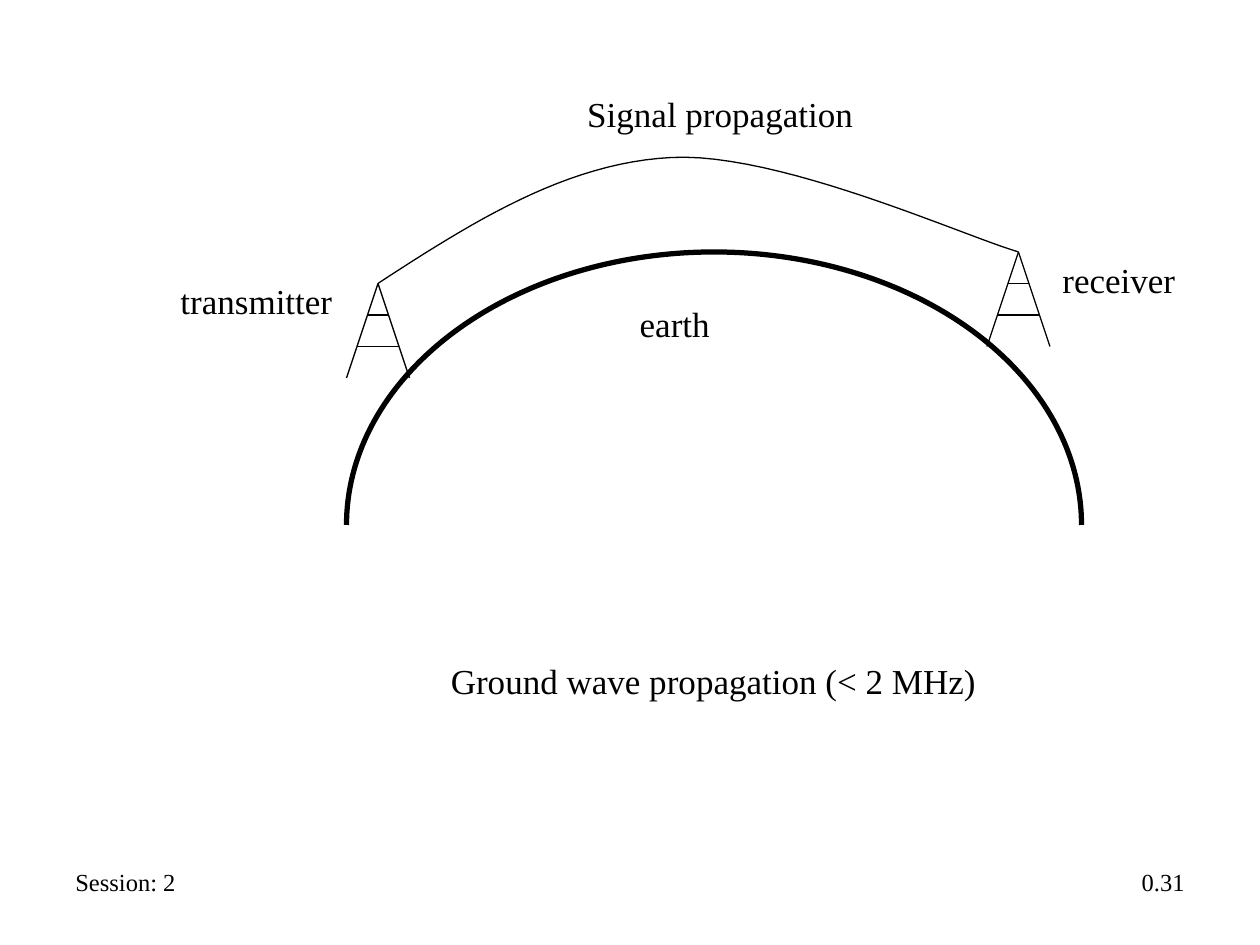
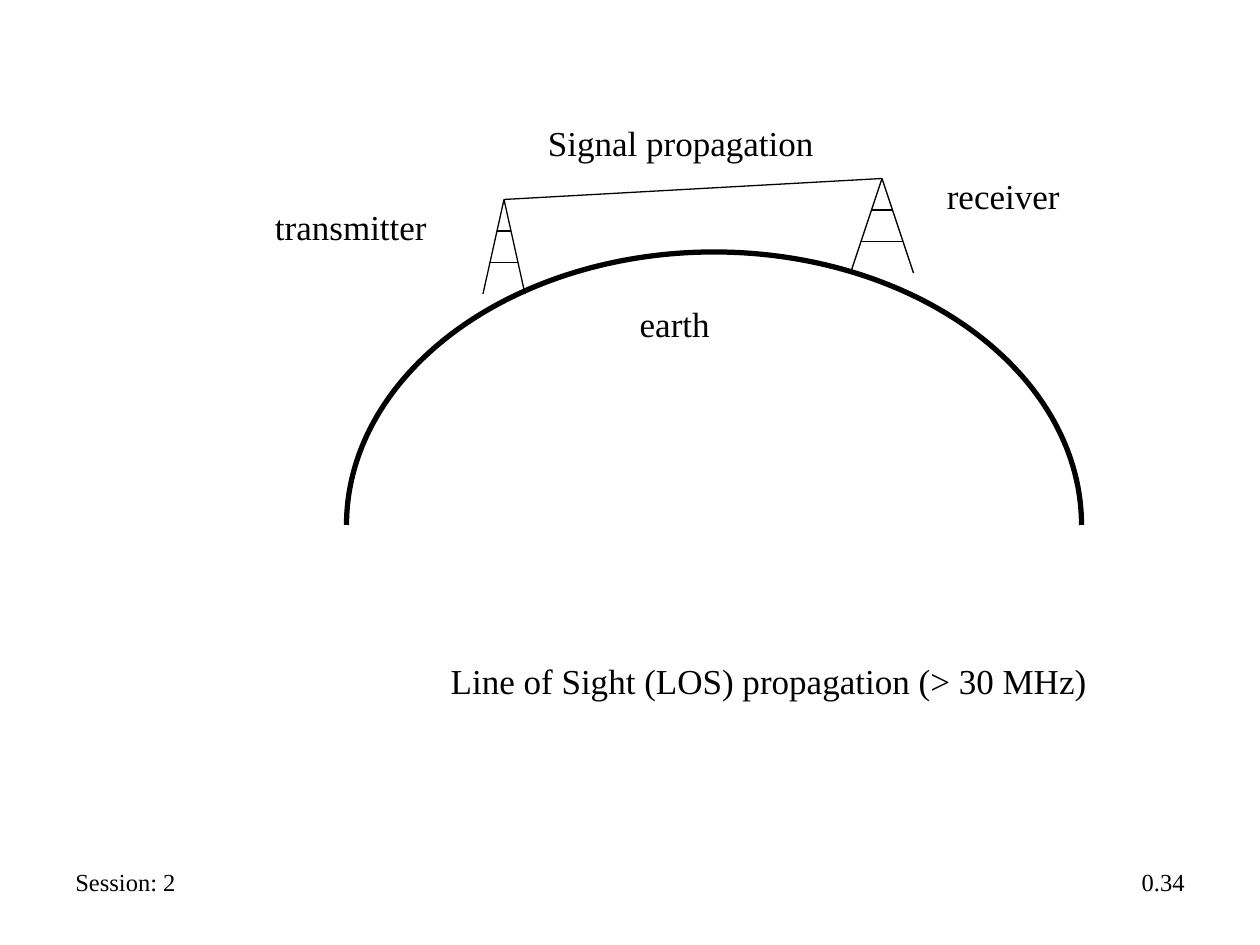
import dataclasses
import typing

import pptx
import pptx.dml.color
import pptx.enum.shapes
import pptx.enum.text
import pptx.oxml
import pptx.oxml.ns
import pptx.util

COLS, ROWS = 120, 90
CELL = pptx.util.Inches(10) // COLS
FONT = "Times New Roman"
INK = "000000"
PAPER = "FFFFFF"
THIN, THICK = 0.75, 3
TOWER_ROWS = 9
CURVE_STEPS = 24
Point = typing.Tuple[float, float]
Cubic = typing.Tuple[Point, Point, Point, Point]


@dataclasses.dataclass(frozen=True)
class Label:
    text: str
    col: float
    row: float
    cols: float
    rows: float = 5.3
    size: int = 20
    right: bool = False
    wrap: bool = False


@dataclasses.dataclass(frozen=True)
class Tower:
    col: float
    row: float
    half_width: float = 3


@dataclasses.dataclass(frozen=True)
class Propagation:
    number: str
    transmitter: Tower
    receiver: Tower
    labels: typing.Tuple[Label, ...]
    curves: typing.Tuple[Cubic, ...] = ()


EARTH = Label("earth", 59.75, 28.2, 9.4)
SESSION = Label("Session: 2", 6, 82, 31, 4, 14, wrap=True)

PROPAGATIONS = (
    Propagation(
        "0.31",
        Tower(36, 27),
        Tower(97, 24),
        (
            Label("Signal propagation", 54.75, 8.2, 27.8),
            Label("transmitter", 16, 26, 17.2),
            Label("receiver", 100, 24, 13.5),
            EARTH,
            Label("Ground wave propagation (< 2 MHz)", 41.75, 62.2, 52.5),
        ),
        (
            ((36, 27), (44.9, 21.2), (53.9, 15.5), (64, 15)),
            ((64, 15), (74.2, 14.5), (91.6, 22.4), (97, 24)),
        ),
    ),
    Propagation(
        "0.34",
        Tower(48, 19, 2),
        Tower(84, 17),
        (
            Label("Signal propagation", 51, 11, 27.8),
            Label("transmitter", 25, 19, 17.2),
            Label("receiver", 89, 16, 13.5),
            EARTH,
            Label("Line of Sight (LOS) propagation (> 30 MHz)", 41.75, 62.2, 63.1),
        ),
    ),
)


def rgb(value: str) -> pptx.dml.color.RGBColor:
    return pptx.dml.color.RGBColor.from_string(value)


def grid(*cells: float) -> typing.List[int]:
    return [round(c * CELL) for c in cells]


def style_line(line, width: float) -> None:
    line.color.rgb = rgb(INK)
    line.width = pptx.util.Pt(width)


def add_line(shapes, start: Point, end: Point) -> None:
    c = shapes.add_connector(
        pptx.enum.shapes.MSO_CONNECTOR.STRAIGHT, *grid(*start, *end)
    )
    style_line(c.line, THIN)
    c._element.spPr.append(pptx.oxml.parse_xml(
        f"<a:effectLst {pptx.oxml.ns.nsdecls('a')}/>"
    ))


def add_tower(shapes, tower: Tower) -> None:
    g = shapes.add_group_shape().shapes
    apex = (tower.col, tower.row)
    for side in (-1, 1):
        foot = (tower.col + side * tower.half_width, tower.row + TOWER_ROWS)
        add_line(g, apex, foot)
    for share in (1 / 3, 2 / 3):
        half = tower.half_width * share
        row = tower.row + TOWER_ROWS * share
        add_line(g, (tower.col - half, row), (tower.col + half, row))


def add_earth(shapes) -> None:
    sp = shapes.add_shape(
        pptx.enum.shapes.MSO_SHAPE.ARC, *grid(33, 24, 70, 52)
    )
    sp.adjustments[0] = 180 * 0.6
    sp.adjustments[1] = 0
    sp.fill.background()
    sp.shadow.inherit = False
    style_line(sp.line, THICK)


def cubic_point(curve: Cubic, t: float) -> typing.Tuple[int, ...]:
    u = 1 - t
    weights = (u ** 3, 3 * u * u * t, 3 * u * t * t, t ** 3)
    return tuple(grid(*(
        sum(w * p[axis] for w, p in zip(weights, curve)) for axis in (0, 1)
    )))


def add_wave(shapes, curves: typing.Tuple[Cubic, ...]) -> None:
    fb = shapes.build_freeform(*grid(*curves[0][0]))
    fb.add_line_segments(
        [
            cubic_point(curve, i / CURVE_STEPS)
            for curve in curves
            for i in range(1, CURVE_STEPS + 1)
        ],
        close=False,
    )
    sp = fb.convert_to_shape()
    sp.fill.background()
    sp.shadow.inherit = False
    style_line(sp.line, THIN)


def add_label(shapes, label: Label) -> None:
    tf = shapes.add_textbox(
        *grid(label.col, label.row, label.cols, label.rows)
    ).text_frame
    tf.word_wrap = label.wrap
    tf.auto_size = pptx.enum.text.MSO_AUTO_SIZE.SHAPE_TO_FIT_TEXT
    p = tf.paragraphs[0]
    align = pptx.enum.text.PP_ALIGN
    p.alignment = align.RIGHT if label.right else align.LEFT
    r = p.add_run()
    r.text = label.text
    r.font.name = FONT
    r.font.size = pptx.util.Pt(label.size)
    r.font.color.rgb = rgb(INK)


def add_slide(prs, item: Propagation) -> None:
    s = prs.slides.add_slide(prs.slide_layouts.get_by_name("Blank"))
    s.background.fill.solid()
    s.background.fill.fore_color.rgb = rgb(PAPER)
    number = Label(item.number, 86, 82, 28, 4, 14, right=True, wrap=True)
    add_earth(s.shapes)
    for tower in (item.transmitter, item.receiver):
        add_tower(s.shapes, tower)
    if item.curves:
        add_wave(s.shapes, item.curves)
    else:
        add_line(
            s.shapes,
            (item.transmitter.col, item.transmitter.row),
            (item.receiver.col, item.receiver.row),
        )
    for label in (*item.labels, SESSION, number):
        add_label(s.shapes, label)


def main() -> None:
    prs = pptx.Presentation()
    prs.slide_width, prs.slide_height = grid(COLS, ROWS)
    for item in PROPAGATIONS:
        add_slide(prs, item)
    prs.save("out.pptx")


if __name__ == "__main__":
    main()
